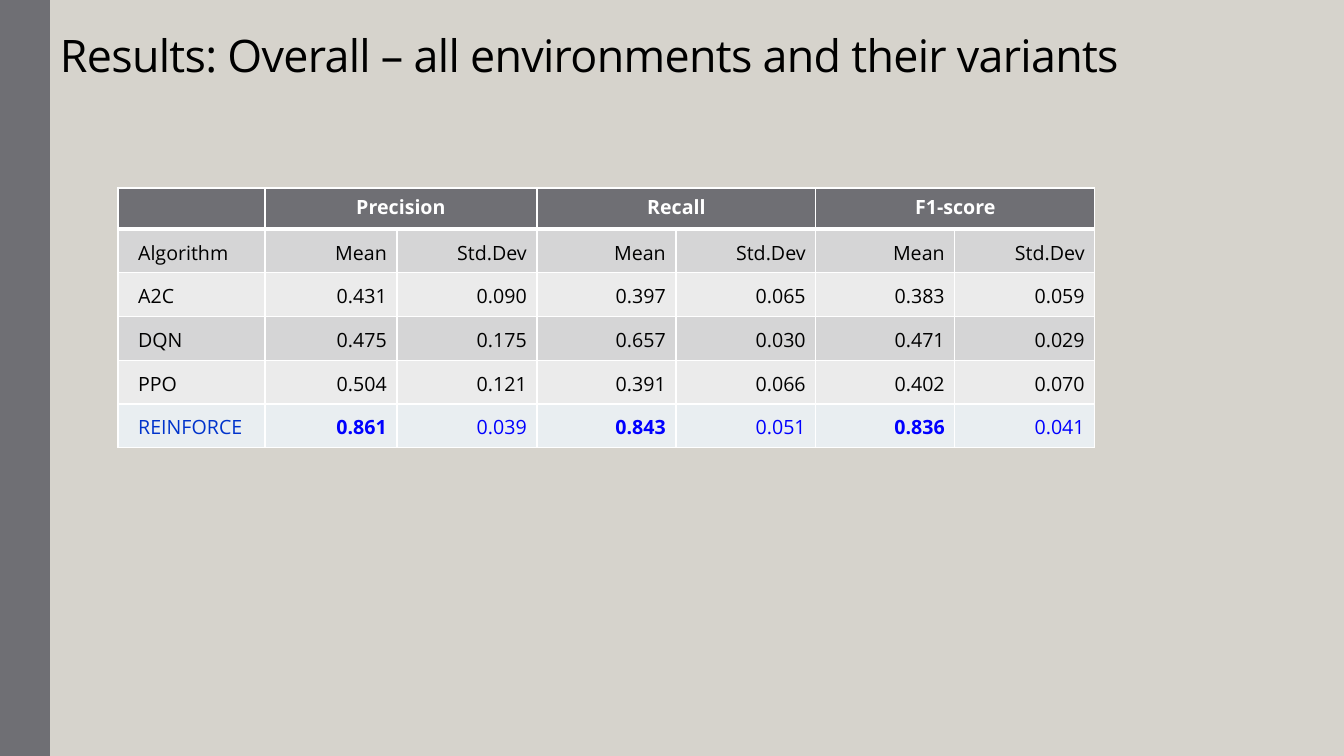
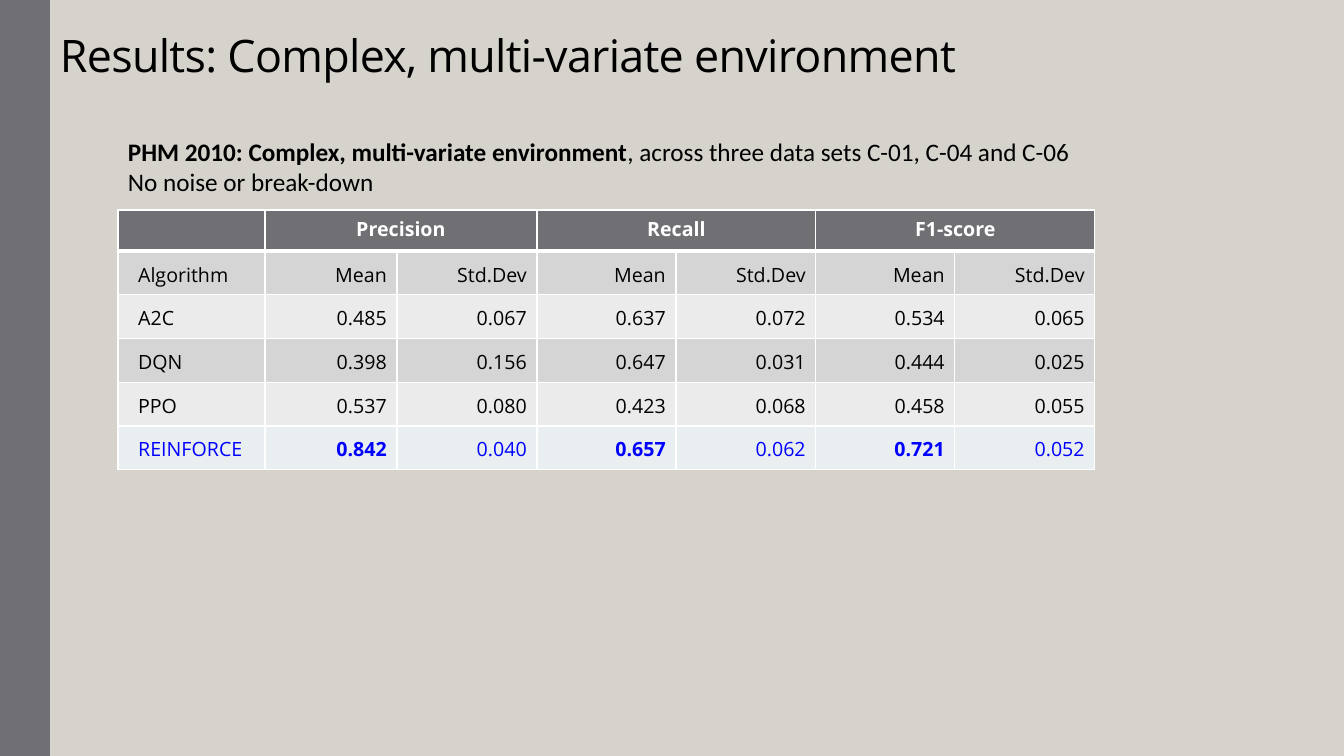
from lxml import etree
from pptx import Presentation
from pptx import util as u
from pptx.dml.color import RGBColor
from pptx.enum import shapes, text
from pptx.oxml import ns

PIXEL = 914400 / 100.8
PAGE_WIDTH, PAGE_HEIGHT = 1344, 756
BAND_WIDTH = 50
TITLE_BOX = (BAND_WIDTH, 0, 1177, 87)

SAND = RGBColor(0xD6, 0xD3, 0xCC)
SLATE = RGBColor(0x6F, 0x6F, 0x74)
GREY = RGBColor(0xD5, 0xD5, 0xD6)
PALE = RGBColor(0xEB, 0xEB, 0xEB)
ICE = RGBColor(0xE9, 0xEE, 0xF1)
WHITE = RGBColor(0xFF, 0xFF, 0xFF)
BLACK = RGBColor(0, 0, 0)
BLUE = RGBColor(0, 0, 0xFF)
ROYAL = RGBColor(0, 0x33, 0xCC)

HEADING_FONT, BODY_FONT = "Open Sans", "Calibri"
COLUMNS = [147, 132, 140, 139, 140, 139, 140]
ROW_HEIGHT = 41
MEASURES = ["Precision", "Recall", "F1-score"]
SUBHEADS = ["Algorithm"] + ["Mean", "Std.Dev"] * len(MEASURES)
BODY_FILLS = [GREY, PALE, GREY, PALE, ICE]

OVERALL = [
    ["A2C", "0.431", "0.090", "0.397", "0.065", "0.383", "0.059"],
    ["DQN", "0.475", "0.175", "0.657", "0.030", "0.471", "0.029"],
    ["PPO", "0.504", "0.121", "0.391", "0.066", "0.402", "0.070"],
    ["REINFORCE", "0.861", "0.039", "0.843", "0.051", "0.836", "0.041"],
]
COMPLEX = [
    ["A2C", "0.485", "0.067", "0.637", "0.072", "0.534", "0.065"],
    ["DQN", "0.398", "0.156", "0.647", "0.031", "0.444", "0.025"],
    ["PPO", "0.537", "0.080", "0.423", "0.068", "0.458", "0.055"],
    ["REINFORCE", "0.842", "0.040", "0.657", "0.062", "0.721", "0.052"],
]
CAPTION = [
    [("PHM 2010: Complex, multi-variate environment", True),
     (", across three data sets C-01, C-04 and C-06", False)],
    [("No noise or break-down", False)],
]


def px(*lengths):
    """Turn picture pixels into EMU."""
    return [u.Emu(round(length * PIXEL)) for length in lengths]


def add_span(para, words, size, font, color, bold=False):
    """Append one formatted run to a paragraph."""
    span = para.add_run()
    span.text = words
    span.font.size = u.Pt(size)
    span.font.name = font
    span.font.bold = bold
    span.font.color.rgb = color
    return span


def add_frame(page, box):
    """Add a wrapping text box and return its text frame."""
    frame = page.shapes.add_textbox(*px(*box)).text_frame
    frame.word_wrap = True
    return frame


def add_page(deck, title):
    """Add a page with the side band and the title."""
    page = deck.slides.add_slide(deck.slide_layouts[6])
    band = page.shapes.add_shape(shapes.MSO_SHAPE.RECTANGLE,
                                 *px(0, 0, BAND_WIDTH, PAGE_HEIGHT))
    band.shadow.inherit = False
    band.fill.solid()
    band.fill.fore_color.rgb = SLATE
    band.line.fill.background()

    frame = add_frame(page, TITLE_BOX)
    frame.vertical_anchor = text.MSO_ANCHOR.BOTTOM
    para = frame.paragraphs[0]
    para.line_spacing = 0.85
    span = add_span(para, title, 32, HEADING_FONT, BLACK)
    span.font._element.set("spc", "-50")
    return page


def add_caption(page, box, lines):
    """Write the lines of bold and plain spans above a table."""
    frame = add_frame(page, box)
    for index, line in enumerate(lines):
        para = frame.add_paragraph() if index else frame.paragraphs[0]
        for words, bold in line:
            add_span(para, words, 18, BODY_FONT, BLACK, bold)


def style_cell(cell, fill, top=1, bottom=1):
    """Give a cell white borders, in points, and a plain fill."""
    properties = cell._tc.get_or_add_tcPr()
    for side, points in zip("LRTB", (1, 1, top, bottom)):
        line = etree.SubElement(properties, ns.qn("a:ln" + side), w=str(u.Pt(points)))
        paint = etree.SubElement(line, ns.qn("a:solidFill"))
        etree.SubElement(paint, ns.qn("a:srgbClr"), val=str(WHITE))
    cell.fill.solid()
    cell.fill.fore_color.rgb = fill


def fill_header(table):
    """Fill the top row, where each measure spans two columns."""
    for column in range(len(COLUMNS)):
        style_cell(table.cell(0, column), SLATE, bottom=3)
    for index, measure in enumerate(MEASURES):
        column = 1 + 2 * index
        cell = table.cell(0, column)
        cell.merge(table.cell(0, column + 1))
        para = cell.text_frame.paragraphs[0]
        para.alignment = text.PP_ALIGN.CENTER
        add_span(para, measure, 14, HEADING_FONT, WHITE, True)


def fill_body_cell(cell, words, is_name, color, bold):
    """Write a name on the left or a value on the right of a cell."""
    cell.vertical_anchor = text.MSO_ANCHOR.BOTTOM
    cell.margin_left = u.Inches(0.2 if is_name else 0.1)
    cell.margin_right = cell.margin_top = cell.margin_bottom = u.Inches(0.1)
    para = cell.text_frame.paragraphs[0]
    para.alignment = text.PP_ALIGN.LEFT if is_name else text.PP_ALIGN.RIGHT
    add_span(para, words, 14, HEADING_FONT, color, bold)


def add_results(page, left, top, scores, best_name_color):
    """Add the score table; its last row is the highlighted best algorithm."""
    rows = [SUBHEADS] + scores
    count = len(rows) + 1
    table = page.shapes.add_table(
        count, len(COLUMNS),
        *px(left, top, sum(COLUMNS), ROW_HEIGHT * count)).table
    table.horz_banding = False
    for column, width in zip(table.columns, px(*COLUMNS)):
        column.width = width
    fill_header(table)
    for row, (values, fill) in enumerate(zip(rows, BODY_FILLS), 1):
        best = row == len(rows)
        for column, words in enumerate(values):
            is_name = column == 0
            color = (best_name_color if is_name else BLUE) if best else BLACK
            cell = table.cell(row, column)
            style_cell(cell, fill, top=3 if row == 1 else 1)
            fill_body_cell(cell, words, is_name, color, best and column % 2 == 1)


def build():
    """Build both result pages and save the deck."""
    deck = Presentation()
    deck.slide_width, deck.slide_height = px(PAGE_WIDTH, PAGE_HEIGHT)
    backdrop = deck.slide_master.background.fill
    backdrop.solid()
    backdrop.fore_color.rgb = SAND

    page = add_page(deck, "Results: Overall – all environments and their variants")
    add_results(page, 118, 188, OVERALL, ROYAL)

    page = add_page(deck, "Results: Complex, multi-variate environment")
    add_results(page, 118, 210, COMPLEX, BLUE)
    add_caption(page, (118, 131, sum(COLUMNS), 72), CAPTION)
    deck.save("out.pptx")


build()
